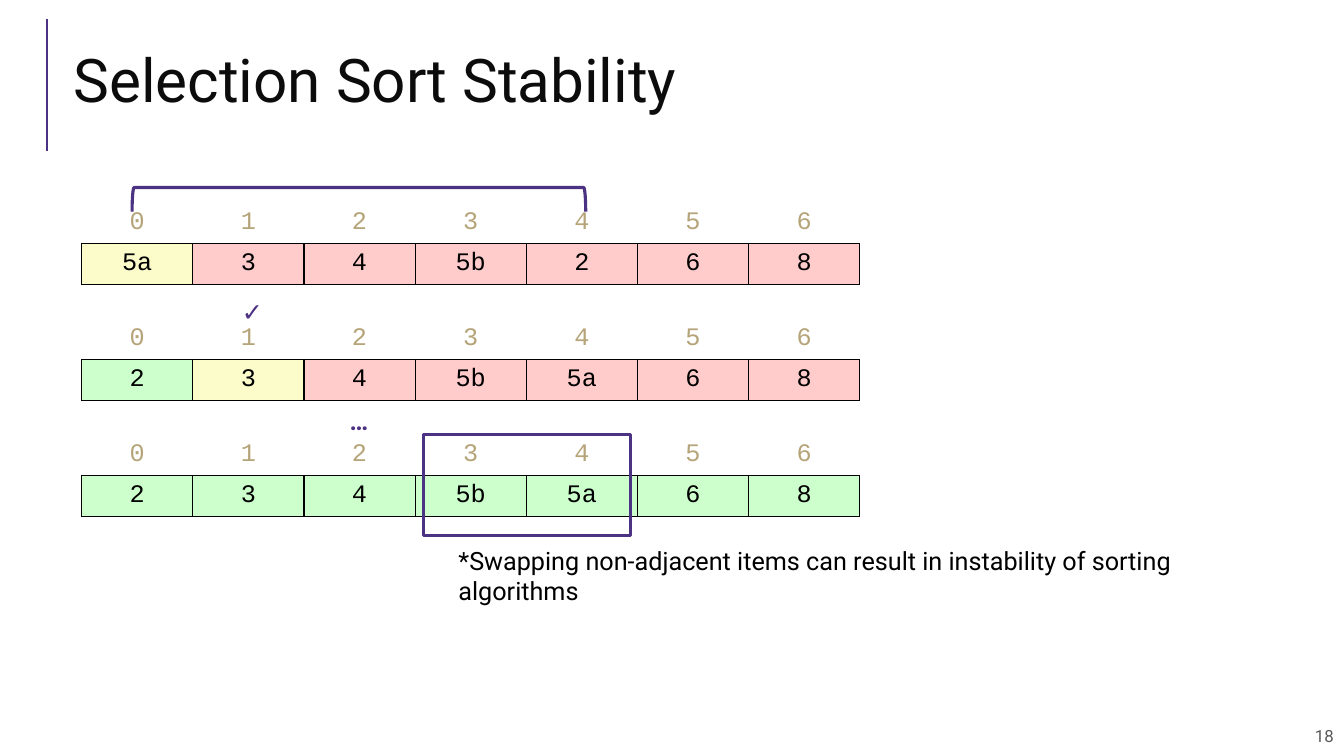
from lxml import etree
from pptx import Presentation, util as u
from pptx.dml.color import RGBColor
from pptx.enum import shapes, text
from pptx.oxml.ns import qn

PURPLE, TAN, BLACK, WHITE = "4C3282", "B6A479", "000000", "FFFFFF"
YELLOW, RED, GREEN = "FBFCCA", "FFCCCB", "CCFFCC"
TABLE_LEFT, TABLE_TOP, TABLE_STEP = 58.3, 144.7, 82.85
COLUMN_WIDTH, ROW_HEIGHT = 79.4, 29.2


def color(value):
    return RGBColor.from_string(value)


class SlideBuilder:
    """Holds the slide and its style, and adds each kind of element."""

    font = "Roboto"
    code_font = "Courier New"

    def __init__(self, slide):
        self.slide = slide

    def add_text(self, frame, content, size, ink, font=None, bold=False, align=text.PP_ALIGN.LEFT):
        paragraph = frame.paragraphs[0]
        paragraph.alignment = align
        run = paragraph.add_run()
        run.text = content
        run.font.name = font or self.font
        run.font.size = u.Pt(size)
        run.font.bold = bold
        run.font.color.rgb = color(ink)
        return paragraph

    def title(self, content, left, top, width, height):
        shape = self.slide.shapes.title
        shape.left, shape.top = u.Pt(left), u.Pt(top)
        shape.width, shape.height = u.Pt(width), u.Pt(height)
        frame = shape.text_frame
        frame.word_wrap = True
        frame.auto_size = text.MSO_AUTO_SIZE.NONE
        frame.vertical_anchor = text.MSO_ANCHOR.MIDDLE
        self.add_text(frame, content, 43, "0C0C0C").line_spacing = 0.8

    def label(self, content, left, top, width, size=18, ink=BLACK, **style):
        shape = self.slide.shapes.add_textbox(u.Pt(left), u.Pt(top), u.Pt(width), u.Pt(29))
        shape.text_frame.word_wrap = True
        self.add_text(shape.text_frame, content, size, ink, **style)
        return shape.text_frame

    def line(self, start_x, start_y, end_x, end_y):
        connector = self.slide.shapes.add_connector(
            shapes.MSO_CONNECTOR.STRAIGHT, u.Pt(start_x), u.Pt(start_y), u.Pt(end_x), u.Pt(end_y))
        connector.line.color.rgb = color(PURPLE)
        connector.line.width = u.Pt(1.5)
        etree.SubElement(connector._element.spPr, qn("a:effectLst"))

    def outline(self, kind, left, top, width, height):
        shape = self.slide.shapes.add_shape(kind, u.Pt(left), u.Pt(top), u.Pt(width), u.Pt(height))
        shape.shadow.inherit = False
        shape.fill.background()
        shape.line.color.rgb = color(PURPLE)
        shape.line.width = u.Pt(2.25)
        return shape

    def borders(self, cell, left, right, top, bottom):
        properties = cell._tc.get_or_add_tcPr()
        sides = zip(("lnL", "lnR", "lnT", "lnB"), (left, right, top, bottom))
        for position, (side, ink) in enumerate(sides):
            border = etree.Element(qn(f"a:{side}"), w=str(u.Pt(1)))
            fill = etree.SubElement(border, qn("a:solidFill"))
            etree.SubElement(fill, qn("a:srgbClr"), val=ink)
            properties.insert(position, border)

    def cell(self, cell, content, ink, fill, edges):
        cell.fill.solid()
        cell.fill.fore_color.rgb = color(fill)
        cell.vertical_anchor = text.MSO_ANCHOR.MIDDLE
        self.add_text(cell.text_frame, content, 18, ink, self.code_font, align=text.PP_ALIGN.CENTER)
        self.borders(cell, *edges)

    def array(self, top, values, fills):
        count = len(values)
        table = self.slide.shapes.add_table(
            2, count, u.Pt(TABLE_LEFT), u.Pt(top),
            u.Pt(COLUMN_WIDTH * count), u.Pt(ROW_HEIGHT * 2)).table
        table.first_row = table.horz_banding = False
        for row in table.rows:
            row.height = u.Pt(ROW_HEIGHT)
        for index, (value, fill) in enumerate(zip(values, fills)):
            table.columns[index].width = u.Pt(COLUMN_WIDTH)
            self.cell(table.cell(0, index), str(index), TAN, WHITE, (WHITE, WHITE, WHITE, BLACK))
            self.cell(table.cell(1, index), value, BLACK, fill, (BLACK,) * 4)


def main():
    presentation = Presentation()
    presentation.slide_width, presentation.slide_height = u.Pt(960), u.Pt(540)
    builder = SlideBuilder(presentation.slides.add_slide(presentation.slide_layouts[5]))

    builder.line(33.8, 108, 33.8, 13.7)
    builder.title("Selection Sort Stability", 45.4, 20.9, 880.6, 79.9)
    number = builder.label("18", 622.8, 511.2, 337, 12, "595959", align=text.PP_ALIGN.RIGHT)
    number.margin_top = number.margin_bottom = u.Pt(7.2)
    number.vertical_anchor = text.MSO_ANCHOR.MIDDLE

    steps = [
        ("5a 3 4 5b 2 6 8", [YELLOW] + [RED] * 6),
        ("2 3 4 5b 5a 6 8", [GREEN, YELLOW] + [RED] * 5),
        ("2 3 4 5b 5a 6 8", [GREEN] * 7),
    ]
    for index, (values, fills) in enumerate(steps):
        builder.array(TABLE_TOP + index * TABLE_STEP, values.split(), fills)

    swap_bracket = builder.outline(shapes.MSO_SHAPE.LEFT_BRACKET, 247.7, -19.4, 17.3, 324)
    swap_bracket.rotation = 90
    swap_bracket.adjustments[0] = 0.083
    builder.label("✓", 165.6, 208.1, 28.1, ink=PURPLE, bold=True)
    builder.label("…", 242.6, 285.8, 27.4, ink=PURPLE, bold=True)
    builder.label("*Swapping non-adjacent items can result in instability of sorting algorithms",
                  320.4, 385.9, 600.5)
    builder.outline(shapes.MSO_SHAPE.RECTANGLE, 302.4, 310.3, 148.3, 72)
    presentation.save("out.pptx")


if __name__ == "__main__":
    main()
